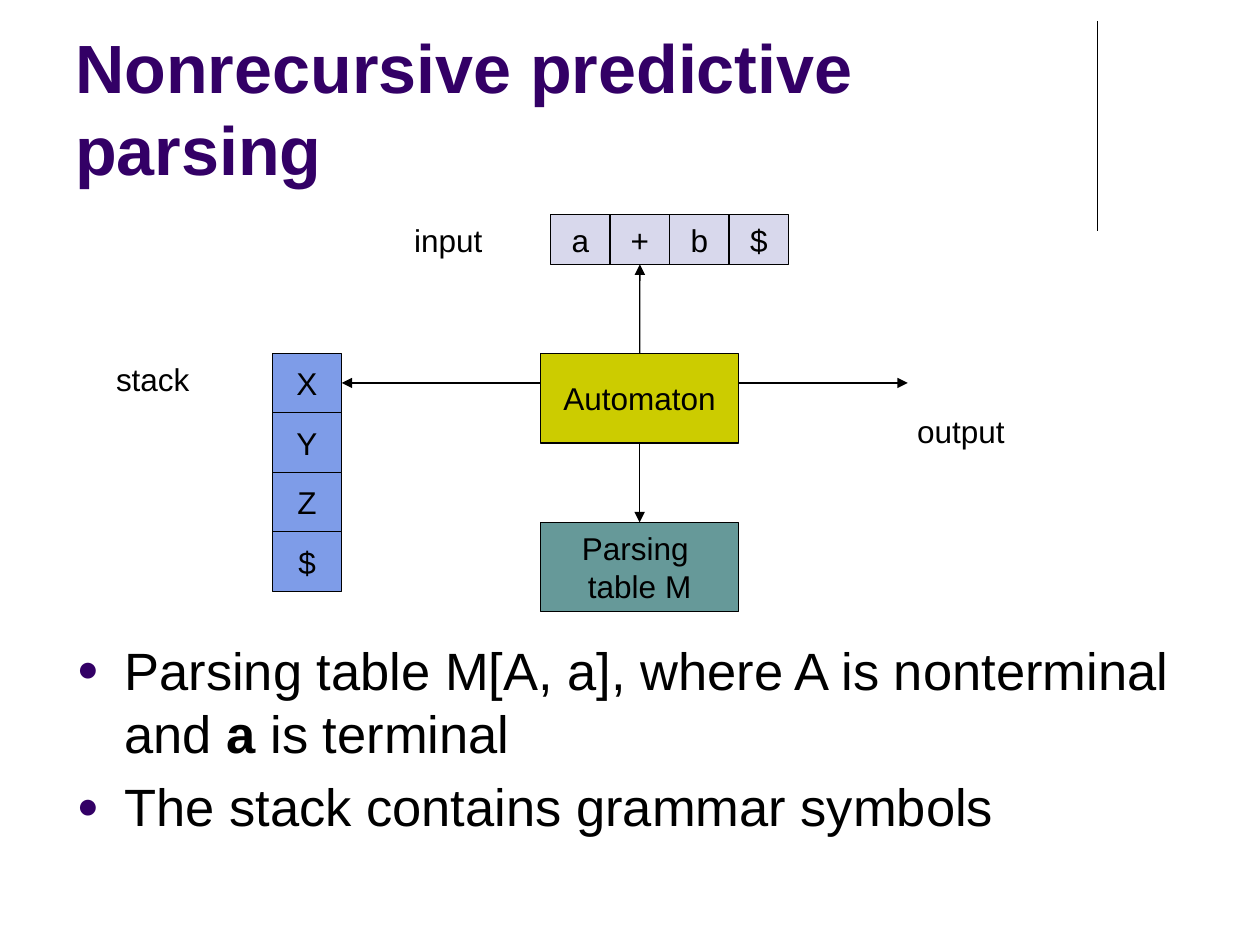
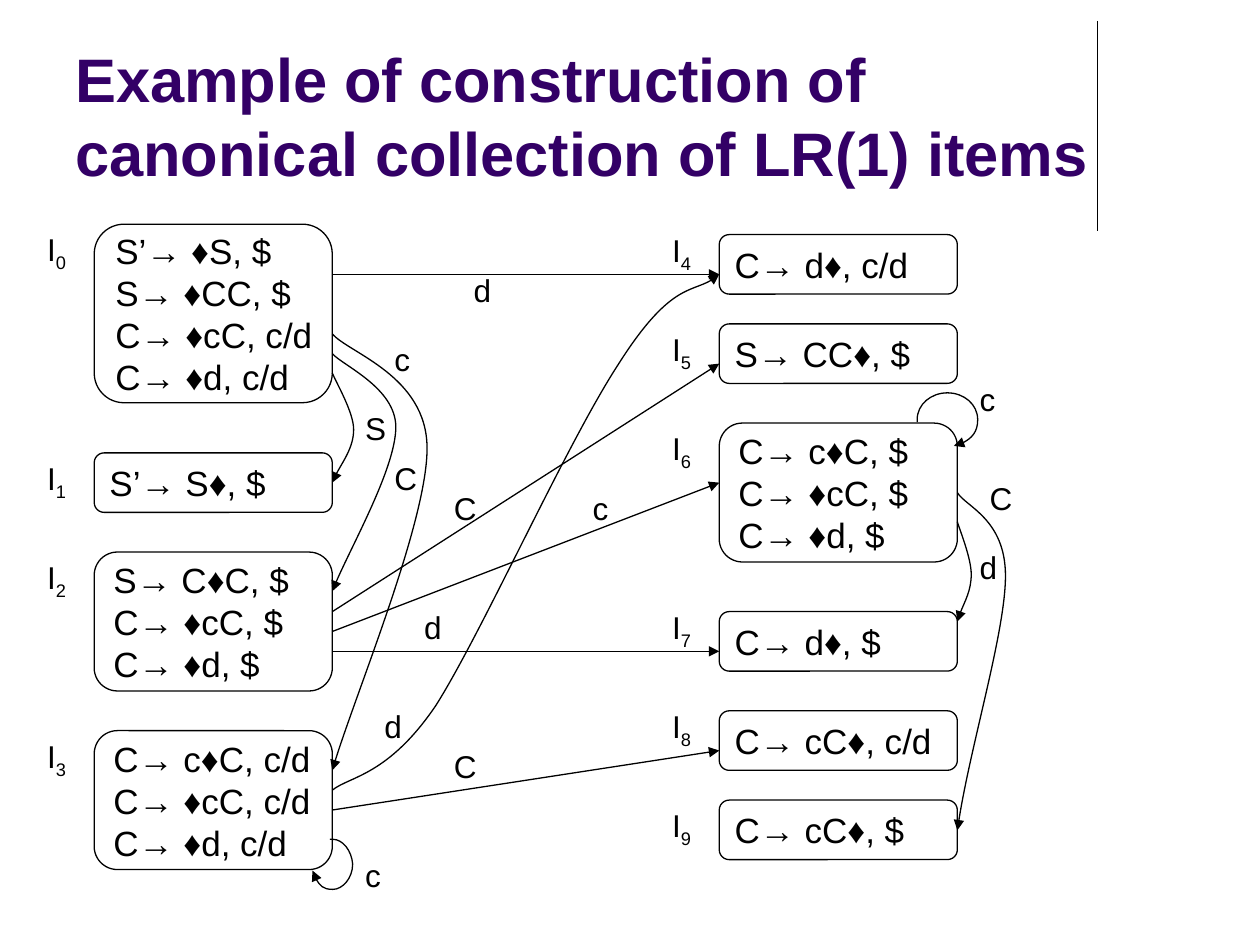
from dataclasses import dataclass

from lxml.etree import SubElement
from pptx import Presentation
from pptx.dml.color import RGBColor
from pptx.enum.shapes import MSO_CONNECTOR, MSO_SHAPE
from pptx.enum.text import MSO_ANCHOR, MSO_AUTO_SIZE, PP_ALIGN
from pptx.oxml.ns import qn
from pptx.util import Cm, Pt

COLORS = {
    "ink": "000000",
    "title": "330066",
    "automaton": "CCCC00",
    "table": "669999",
    "input": "D8D8EC",
    "stack": "7E9CE8",
}
FONT = "Arial"
Point = tuple[float, float]


@dataclass
class Bit:
    """One run of text."""
    text: str
    size: float = 18
    color: str = "ink"
    bold: bool = False
    sub: bool = False


@dataclass
class Box:
    left: float
    top: float
    width: float
    height: float


@dataclass
class State:
    """An item set; drop is how far its box sits below its label."""
    left: float
    top: float
    items: list[str]
    drop: float = 0


@dataclass
class Edge:
    """A transition: two points make a line, more make Bezier curves."""
    symbol: str
    label: Point
    points: list[Point]


LEFT, RIGHT = 1.9, 14.5
WIDE = 4.8
OUT, FAR = LEFT + WIDE, RIGHT + WIDE
LETTERS = {"S": 0.94, "C": 0.96, "c": 0.84, "d": 0.86}

STATES = [
    State(LEFT, 4.52, ["S’→ ♦S, $", "S→ ♦CC, $", "C→ ♦cC, c/d", "C→ ♦d, c/d"]),
    State(LEFT, 9.13, ["S’→ S♦, $"]),
    State(LEFT, 11.13, ["S→ C♦C, $", "C→ ♦cC, $", "C→ ♦d, $"]),
    State(LEFT, 14.73, ["C→ c♦C, c/d", "C→ ♦cC, c/d", "C→ ♦d, c/d"]),
    State(RIGHT, 4.53, ["C→ d♦, c/d"], 0.2),
    State(RIGHT, 6.53, ["S→ CC♦, $"]),
    State(RIGHT, 8.53, ["C→ c♦C, $", "C→ ♦cC, $", "C→ ♦d, $"]),
    State(RIGHT, 12.13, ["C→ d♦, $"], 0.2),
    State(RIGHT, 14.13, ["C→ cC♦, c/d"], 0.2),
    State(RIGHT, 16.13, ["C→ cC♦, $"]),
]

EDGES = [
    Edge("S", (7.11, 8.13), [
        (OUT, 7.52), (6.78, 7.72), (7.13, 8.31), (7.13, 8.66),
        (7.13, 9.02), (6.78, 9.5), (OUT, 9.73)]),
    Edge("C", (7.7, 9.13), [
        (OUT, 7.13), (6.91, 7.37), (7.98, 7.82), (7.98, 8.61),
        (7.98, 9.42), (6.96, 11.23), (OUT, 11.92)]),
    Edge("c", (7.7, 6.73), [
        (OUT, 6.73), (7.01, 7.11), (8.61, 7.57), (8.61, 9.04),
        (8.61, 10.52), (7.09, 14.17), (OUT, 15.53)]),
    Edge("d", (9.3, 5.33), [(OUT, 5.53), (RIGHT, 5.53)]),
    Edge("C", (8.9, 9.73), [(OUT, 12.33), (RIGHT, 7.33)]),
    Edge("c", (11.7, 9.73), [(OUT, 12.73), (RIGHT, 9.73)]),
    Edge("d", (8.3, 12.13), [(OUT, 13.13), (RIGHT, 13.13)]),
    Edge("d", (7.5, 14.13), [
        (OUT, 15.93), (7.04, 15.65), (7.82, 15.65), (8.79, 14.22),
        (9.73, 12.73), (11.4, 8.99), (12.45, 7.37),
        (13.49, 5.72), (14.07, 5.92), (RIGHT, 5.53)]),
    Edge("C", (8.9, 14.93), [(OUT, 16.33), (RIGHT, 15.13)]),
    Edge("c", (7.11, 17.13), [
        (6.65, 16.92), (6.68, 16.92), (6.68, 16.92), (6.71, 16.92),
        (6.91, 16.92), (7.09, 17.15), (7.11, 17.42),
        (7.11, 17.7), (6.91, 17.93), (6.71, 17.93),
        (6.5, 17.93), (6.35, 17.75), (6.3, 17.55)]),
    Edge("c", (19.5, 7.53), [
        (18.49, 8.51), (18.49, 8.48), (18.49, 8.48), (18.49, 8.46),
        (18.49, 8.15), (18.77, 7.92), (19.1, 7.92),
        (19.43, 7.92), (19.71, 8.15), (19.71, 8.46),
        (19.71, 8.71), (19.51, 8.94), (19.23, 8.99)]),
    Edge("d", (19.5, 10.93), [
        (FAR, 10.52), (19.35, 10.69), (19.58, 11.25), (19.58, 11.58),
        (19.58, 11.91), (19.35, 12.32), (FAR, 12.53)]),
    Edge("C", (19.7, 9.53), [
        (FAR, 9.93), (19.46, 10.21), (20.27, 10.46), (20.27, 11.61),
        (20.27, 12.73), (19.51, 15.21), (FAR, 16.74)]),
]


def rgb(name: str) -> RGBColor:
    return RGBColor.from_string(COLORS[name])


def write(para, bits: list[Bit]) -> None:
    for bit in bits:
        run = para.add_run()
        run.text = bit.text
        font = run.font
        font.name, font.size, font.bold = FONT, Pt(bit.size), bit.bold
        font.color.rgb = rgb(bit.color)
        if bit.sub:
            run._r.get_or_add_rPr().set("baseline", "-25000")


def fill_text(frame, paras: list[list[Bit]]) -> None:
    for i, bits in enumerate(paras):
        para = frame.paragraphs[0] if i == 0 else frame.add_paragraph()
        para.alignment = PP_ALIGN.LEFT
        write(para, bits)


def add_text(slide, box: Box, paras: list[list[Bit]], wrap: bool = True):
    shape = slide.shapes.add_textbox(
        Cm(box.left), Cm(box.top), Cm(box.width), Cm(box.height))
    frame = shape.text_frame
    frame.word_wrap = wrap
    frame.auto_size = MSO_AUTO_SIZE.NONE if wrap else MSO_AUTO_SIZE.SHAPE_TO_FIT_TEXT
    fill_text(frame, paras)
    return frame


def add_label(slide, left: float, top: float, width: float, bits: list[Bit]) -> None:
    add_text(slide, Box(left, top, width, 1.02), [bits], wrap=False)


def ink(shape, arrow: bool = False) -> None:
    """Give a shape or connector the thin black line."""
    shape.line.color.rgb = rgb("ink")
    shape.line.width = Pt(0.75)
    if arrow:
        line = shape._element.spPr.find(qn("a:ln"))
        SubElement(line, qn("a:tailEnd"), type="triangle")


def add_box(slide, kind, box: Box, fill: str | None = None):
    shape = slide.shapes.add_shape(
        kind, Cm(box.left), Cm(box.top), Cm(box.width), Cm(box.height))
    shape.shadow.inherit = False
    if fill:
        shape.fill.solid()
        shape.fill.fore_color.rgb = rgb(fill)
    else:
        shape.fill.background()
    ink(shape)
    frame = shape.text_frame
    frame.word_wrap = False
    frame.vertical_anchor = MSO_ANCHOR.MIDDLE
    return shape


def add_cell(slide, box: Box, fill: str, lines: list[str]):
    shape = add_box(slide, MSO_SHAPE.RECTANGLE, box, fill)
    para = shape.text_frame.paragraphs[0]
    para.alignment = PP_ALIGN.CENTER
    for i, text in enumerate(lines):
        if i:
            para.add_line_break()
        write(para, [Bit(text)])
    return shape


def add_line(slide, start: Point, end: Point, arrow: bool = True):
    line = slide.shapes.add_connector(
        MSO_CONNECTOR.STRAIGHT, *map(Cm, start), *map(Cm, end))
    ink(line, arrow)
    SubElement(line._element.spPr, qn("a:effectLst"))
    return line


def add_curve(slide, points: list[Point]) -> None:
    """Build the outline from its points, then bend each three into a Bezier."""
    pen = slide.shapes.build_freeform(*map(Cm, points[0]))
    pen.add_line_segments([(Cm(x), Cm(y)) for x, y in points[1:]], close=False)
    shape = pen.convert_to_shape()
    shape.shadow.inherit = False
    shape.fill.background()
    ink(shape, arrow=True)
    route = next(shape._element.iter(qn("a:path")))
    lines = route.findall(qn("a:lnTo"))
    for i in range(0, len(lines), 3):
        bend = SubElement(route, qn("a:cubicBezTo"))
        for line in lines[i:i + 3]:
            bend.append(line[0])
            route.remove(line)


def add_bullet(para) -> None:
    props = para._p.get_or_add_pPr()
    props.set("marL", str(Cm(0.96)))
    props.set("indent", str(-Cm(0.96)))
    color = SubElement(props, qn("a:buClr"))
    SubElement(color, qn("a:srgbClr"), val=COLORS["title"])
    SubElement(props, qn("a:buSzPct"), val="70000")
    SubElement(props, qn("a:buFont"), typeface=FONT)
    SubElement(props, qn("a:buChar"), char="●")


def start_slide(deck, title: str, size: float):
    slide = deck.slides.add_slide(deck.slide_layouts[6])
    frame = add_text(slide, Box(1.27, 0.33, 20.96, 3.6),
                     [[Bit(title, size, "title", True)]])
    frame.vertical_anchor = MSO_ANCHOR.BOTTOM
    frame.margin_right = Cm(0.1)
    return slide


def share_rule(slide) -> None:
    """Draw the divider and move it to the layout, so every slide shows it."""
    line = add_line(slide, (22.12, 0.42), (22.12, 4.66), arrow=False)
    slide.slide_layout.shapes._spTree.append(line._element)


def parser_slide(deck) -> None:
    slide = start_slide(deck, "Nonrecursive predictive parsing", 39)
    share_rule(slide)
    frame = add_text(slide, Box(1.3, 12.73, 22.86, 4.6), [
        [Bit("Parsing table M[A, a], where A is nonterminal and ", 30),
         Bit("a ", 30, bold=True), Bit("is terminal", 30)],
        [Bit("The stack contains grammar symbols", 30)],
    ])
    for para in frame.paragraphs:
        para.space_before = Pt(6)
        add_bullet(para)

    robot = add_cell(slide, Box(10.9, 7.13, 3.99, 1.8), "automaton", ["Automaton"])
    table = add_cell(slide, Box(10.9, 10.53, 3.99, 1.8), "table", ["Parsing ", "table M"])
    tape = [add_cell(slide, Box(11.1 + 1.2 * i, 4.33, 1.2, 1), "input", [text])
            for i, text in enumerate("a+b$")]
    stack = [add_cell(slide, Box(5.49, 7.12 + 1.2 * i, 1.4, 1.2), "stack", [text])
             for i, text in enumerate("XYZ$")]

    down = add_line(slide, (12.9, 8.93), (12.9, 10.53))
    down.begin_connect(robot, 2)
    down.end_connect(table, 0)
    rise = add_line(slide, (12.9, 7.13), (12.9, 5.33))
    rise.begin_connect(robot, 0)
    rise.end_connect(tape[1], 2)
    back = add_line(slide, (10.9, 7.72), (6.89, 7.72))
    back.end_connect(stack[0], 3)
    add_line(slide, (14.89, 7.72), (18.3, 7.72))

    for text, left, top, width in [("output", 18.24, 8.18, 2.28),
                                   ("input", 8.1, 4.33, 1.9),
                                   ("stack", 2.09, 7.13, 2)]:
        add_label(slide, left, top, width, [Bit(text)])


def items_slide(deck) -> None:
    slide = start_slide(
        deck, "Example of construction of canonical collection of LR(1) items", 35.1)
    for edge in EDGES:
        if len(edge.points) == 2:
            add_line(slide, *edge.points)
        else:
            add_curve(slide, edge.points)
        add_label(slide, *edge.label, LETTERS[edge.symbol], [Bit(edge.symbol)])
    for i, state in enumerate(STATES):
        add_label(slide, state.left - 1.2, state.top, 0.92,
                  [Bit("I"), Bit(str(i), sub=True)])
        box = Box(state.left, state.top + state.drop, WIDE, 0.4 + 0.8 * len(state.items))
        shape = add_box(slide, MSO_SHAPE.ROUNDED_RECTANGLE, box)
        fill_text(shape.text_frame, [[Bit(item, 20)] for item in state.items])


def main() -> None:
    deck = Presentation()
    deck.slide_width, deck.slide_height = Cm(25.4), Cm(19.05)
    parser_slide(deck)
    items_slide(deck)
    deck.save("out.pptx")


if __name__ == "__main__":
    main()
